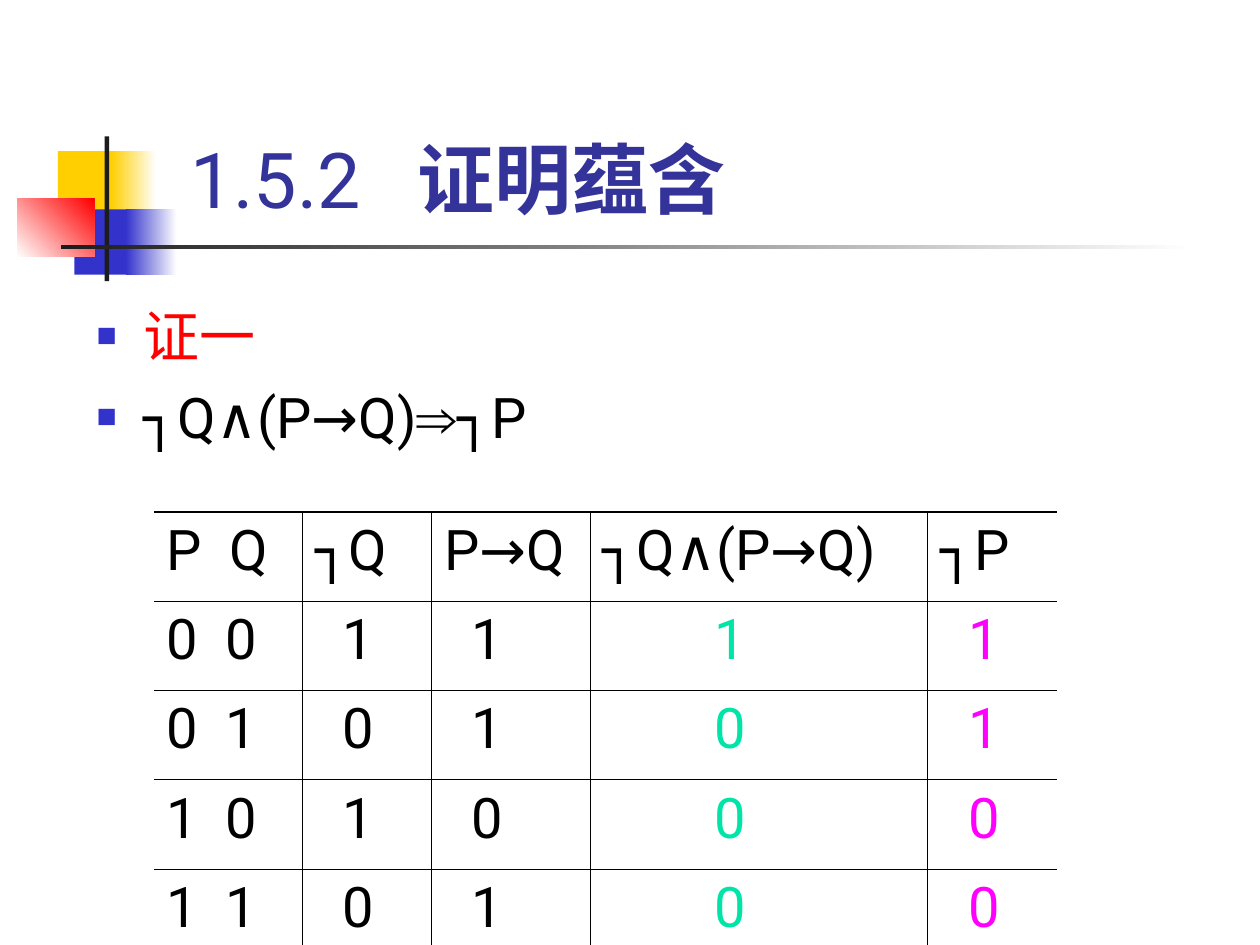
from dataclasses import dataclass

from lxml.etree import SubElement
from pptx import Presentation
from pptx.dml.color import RGBColor
from pptx.enum.shapes import MSO_SHAPE as Shape
from pptx.enum.text import MSO_ANCHOR as Anchor
from pptx.oxml.ns import qn
from pptx.util import Cm, Pt


@dataclass(frozen=True)
class Theme:
    font: str = "Roboto"
    symbol_font: str = "Arial"
    title_size: int = 44
    body_size: int = 32
    title: str = "333399"
    text: str = "000000"
    accent: str = "FF0000"
    premise: str = "00E4A8"
    conclusion: str = "FF00FF"
    yellow: str = "FFCF01"
    blue: str = "3333CC"
    bar: str = "1C1C1C"
    paper: str = "FFFFFF"
    thin: float = 0.45
    thick: float = 1.08


class SlideBuilder:
    def __init__(self, slide, theme):
        self.slide, self.theme = slide, theme

    def block(self, box, start, end=None, angle=0):
        """Rectangle in one colour, or fading from start to end."""
        shape = self.slide.shapes.add_shape(Shape.RECTANGLE, *map(Cm, box))
        shape.shadow.inherit = False
        shape.line.fill.background()
        if end is None:
            shape.fill.solid()
            shape.fill.fore_color.rgb = RGBColor.from_string(start)
            return
        shape.fill.gradient()
        shape.fill.gradient_angle = angle
        for stop, color, position in zip(shape.fill.gradient_stops, (start, end), (0, 1)):
            stop.color.rgb = RGBColor.from_string(color)
            stop.position = position

    def text_frame(self, box, anchor=Anchor.TOP):
        frame = self.slide.shapes.add_textbox(*map(Cm, box)).text_frame
        frame.word_wrap = True
        frame.vertical_anchor = anchor
        return frame

    def run(self, paragraph, text, color, size=None, **extra):
        run = paragraph.add_run()
        run.text = text
        style = {"name": self.theme.font, "size": Pt(size or self.theme.body_size), **extra}
        for key, value in style.items():
            setattr(run.font, key, value)
        run.font.color.rgb = RGBColor.from_string(color)

    def tab(self, paragraph, position):
        tabs = SubElement(paragraph._p.get_or_add_pPr(), qn("a:tabLst"))
        SubElement(tabs, qn("a:tab"), pos=str(Cm(position)), algn="l")

    def bullet(self, paragraph):
        props = paragraph._p.get_or_add_pPr()
        props.set("marL", str(Cm(0.95)))
        props.set("indent", str(Cm(-0.95)))
        color = SubElement(props, qn("a:buClr"))
        SubElement(color, qn("a:srgbClr"), val=self.theme.blue)
        SubElement(props, qn("a:buSzPct"), val="60000")
        SubElement(props, qn("a:buFont"), typeface=self.theme.symbol_font)
        SubElement(props, qn("a:buChar"), char="■")

    def borders(self, cell, widths):
        """Draw the sides in widths; a width of None leaves the side open."""
        props = cell._tc.get_or_add_tcPr()
        for side, width in widths.items():
            line = SubElement(props, qn(f"a:ln{side}"), w=str(Pt(width or 0)))
            if width is None:
                SubElement(line, qn("a:noFill"))
            else:
                fill = SubElement(line, qn("a:solidFill"))
                SubElement(fill, qn("a:srgbClr"), val=self.theme.text)

    def truth_table(self, left, top, widths, row_height, rows, indents, colors):
        theme = self.theme
        last_row, last_col = len(rows) - 1, len(widths) - 1
        table = self.slide.shapes.add_table(
            len(rows), len(widths), Cm(left), Cm(top),
            Cm(sum(widths)), Cm(row_height * len(rows))).table
        table.first_row = table.horz_banding = False
        for column, width in zip(table.columns, widths):
            column.width = Cm(width)
        for r, row in enumerate(rows):
            table.rows[r].height = Cm(row_height)
            for c, text in enumerate(row):
                cell = table.cell(r, c)
                self.borders(cell, {
                    "L": theme.thin if c else None,
                    "R": theme.thin if c < last_col else None,
                    "T": theme.thin if r else theme.thick,
                    "B": theme.thin if r < last_row else theme.thick})
                cell.fill.background()
                paragraph = cell.text_frame.paragraphs[0]
                if "\t" in text:
                    self.tab(paragraph, 1.2 if r else 1.27)
                elif r:
                    paragraph._p.get_or_add_pPr().set("marL", str(Cm(indents[c])))
                self.run(paragraph, text, colors[c] if r else theme.text)


def main():
    theme = Theme()
    deck = Presentation()
    deck.slide_width, deck.slide_height = Cm(25.4), Cm(19.05)
    page = SlideBuilder(deck.slides.add_slide(deck.slide_layouts[6]), theme)

    # Decorative blocks and rules
    for block in (
        ((1.17, 3.05, 1.22, 1.32), theme.yellow),
        ((2.24, 3.05, 0.91, 1.32), theme.yellow, theme.paper),
        ((1.5, 4.22, 1.17, 1.32), theme.blue),
        ((2.54, 4.22, 1.02, 1.32), theme.blue, theme.paper),
        ((0.35, 4.01, 1.55, 1.17), theme.paper, theme.accent, 45),
        ((2.11, 2.75, 0.09, 2.92), theme.bar),
        ((1.23, 4.94, 22.86, 0.09), theme.bar, theme.paper),
    ):
        page.block(*block)

    # Title
    heading = page.text_frame((3.2, 0.58, 21.64, 4.06), Anchor.BOTTOM)
    heading.margin_left = Cm(0.64)
    title = heading.paragraphs[0]
    page.tab(title, 4.58)
    page.run(title, "1.5.2\t", theme.title, theme.title_size)
    page.run(title, "证明蕴含", theme.title, theme.title_size, bold=True)

    # Proof statement
    body = page.text_frame((1.7, 5.61, 23.01, 13.44))
    proof, formula = body.paragraphs[0], body.add_paragraph()
    for paragraph in (proof, formula):
        page.bullet(paragraph)
    proof.line_spacing = 1.25
    formula.space_before = Pt(8)
    page.run(proof, "证一", theme.accent)
    page.run(formula, "┐Q∧(P→Q)", theme.text)
    page.run(formula, "⇒", theme.text, name=theme.symbol_font)
    page.run(formula, "┐P", theme.text)

    # Truth table, worked out from the values of P and Q
    rows = [("P\tQ", "┐Q", "P→Q", "┐Q∧(P→Q)", "┐P")]
    for p in (0, 1):
        for q in (0, 1):
            not_q, implies = 1 - q, int(not p or q)
            values = (not_q, implies, not_q & implies, 1 - p)
            rows.append((f"{p}\t{q}", *map(str, values)))
    page.truth_table(
        3.1, 10.32, (3, 2.6, 3.2, 6.8, 2.6), 1.8, rows,
        indents=(0, 0.56, 0.56, 2.24, 0.56),
        colors=(theme.text,) * 3 + (theme.premise, theme.conclusion))

    deck.save("out.pptx")


if __name__ == "__main__":
    main()
